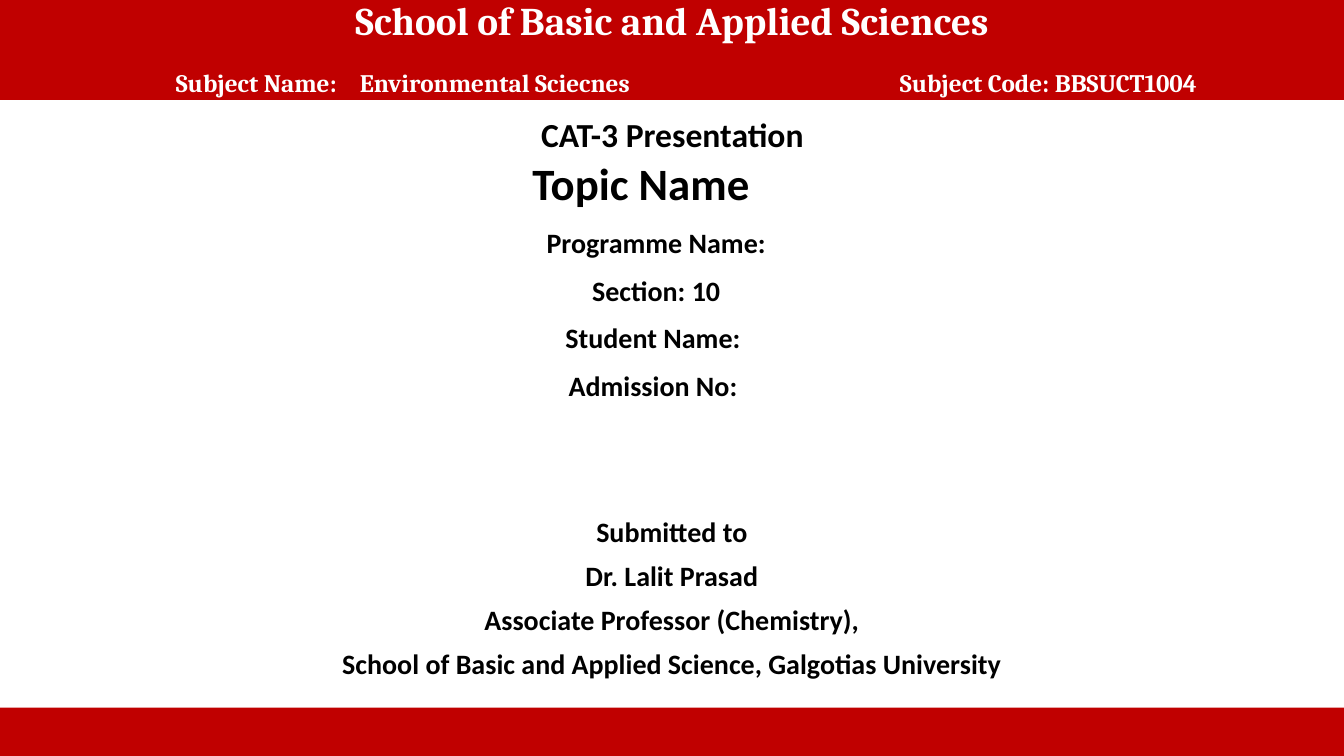
from lxml import etree
from pptx import Presentation
from pptx.dml.color import RGBColor
from pptx.enum import shapes, text
from pptx.oxml import ns
from pptx.util import Pt

RED = RGBColor(0xC0, 0x00, 0x00)
WHITE = RGBColor(0xFF, 0xFF, 0xFF)
BLACK = RGBColor(0x00, 0x00, 0x00)
WIDTH, HEIGHT = 960, 540
HEADER_HEIGHT, FOOTER_HEIGHT = 71.28, 34.56


def style(para, face, size, color):
    para.font.name = face
    para.font.size = Pt(size)
    para.font.bold = True
    para.font.color.rgb = color


def add_tabs(para, stops):
    tabs = etree.SubElement(para._p.get_or_add_pPr(), ns.qn("a:tabLst"))
    for stop in stops:
        etree.SubElement(tabs, ns.qn("a:tab"), pos=str(Pt(stop)), algn="l")


def add_band(page, left, top, width, height):
    band = page.shapes.add_shape(
        shapes.MSO_SHAPE.RECTANGLE, Pt(left), Pt(top), Pt(width), Pt(height))
    band.shadow.inherit = False
    band.fill.solid()
    band.fill.fore_color.rgb = RED
    band.line.fill.background()
    return band


def add_header(page, left, top, width, height):
    frame = add_band(page, left, top, width, height).text_frame
    frame.word_wrap = True
    frame.vertical_anchor = text.MSO_ANCHOR.MIDDLE

    # School name
    school = frame.paragraphs[0]
    school.text = "School of Basic and Applied Sciences"
    school.alignment = text.PP_ALIGN.CENTER
    school.line_spacing = 0.9
    style(school, "Cambria", 28, WHITE)

    # Subject name and code, set on tab stops
    subject = frame.add_paragraph()
    subject.text = "\tSubject Name:\tEnvironmental Sciecnes\tSubject Code: BBSUCT1004"
    subject.alignment = text.PP_ALIGN.LEFT
    subject.line_spacing = 0.9
    subject.space_before = Pt(19)
    add_tabs(subject, (118.5, 250, 635.7))
    style(subject, "Cambria", 18, WHITE)


def add_lines(page, left, top, width, height, lines, size, spacing=1.0):
    box = page.shapes.add_textbox(Pt(left), Pt(top), Pt(width), Pt(height))
    frame = box.text_frame
    frame.word_wrap = True
    for index, line in enumerate(lines):
        para = frame.add_paragraph() if index else frame.paragraphs[0]
        para.text = line
        para.alignment = text.PP_ALIGN.CENTER
        para.line_spacing = spacing
        para.space_before = Pt(10 if index else 0)
        style(para, "Calibri", size, BLACK)


def add_title_page(deck):
    page = deck.slides.add_slide(deck.slide_layouts[6])

    # Red bands
    add_header(page, 0, 0, WIDTH, HEADER_HEIGHT)
    add_band(page, 0, HEIGHT - FOOTER_HEIGHT, WIDTH, FOOTER_HEIGHT)

    # Topic and student details
    add_lines(page, 23.76, 108, 868.32, 46, ["Topic Name"], 32)
    add_lines(page, 301.68, 157.68, 334.08, 105.84, [
        "Programme Name:",
        "Section: 10",
        "Student Name: ",
        "Admission No: ",
    ], 20)

    # Teacher
    add_lines(page, 235.44, 366.48, 488.88, 138.96, [
        "Submitted to",
        "Dr. Lalit Prasad",
        "Associate Professor (Chemistry),",
        "School of Basic and Applied Science, Galgotias University",
    ], 20, spacing=0.9)

    # Kind of presentation
    add_lines(page, 269.28, 77.76, 421.92, 36, ["CAT-3 Presentation"], 24)


def main():
    deck = Presentation()
    deck.slide_width, deck.slide_height = Pt(WIDTH), Pt(HEIGHT)
    add_title_page(deck)
    deck.save("out.pptx")


if __name__ == "__main__":
    main()
